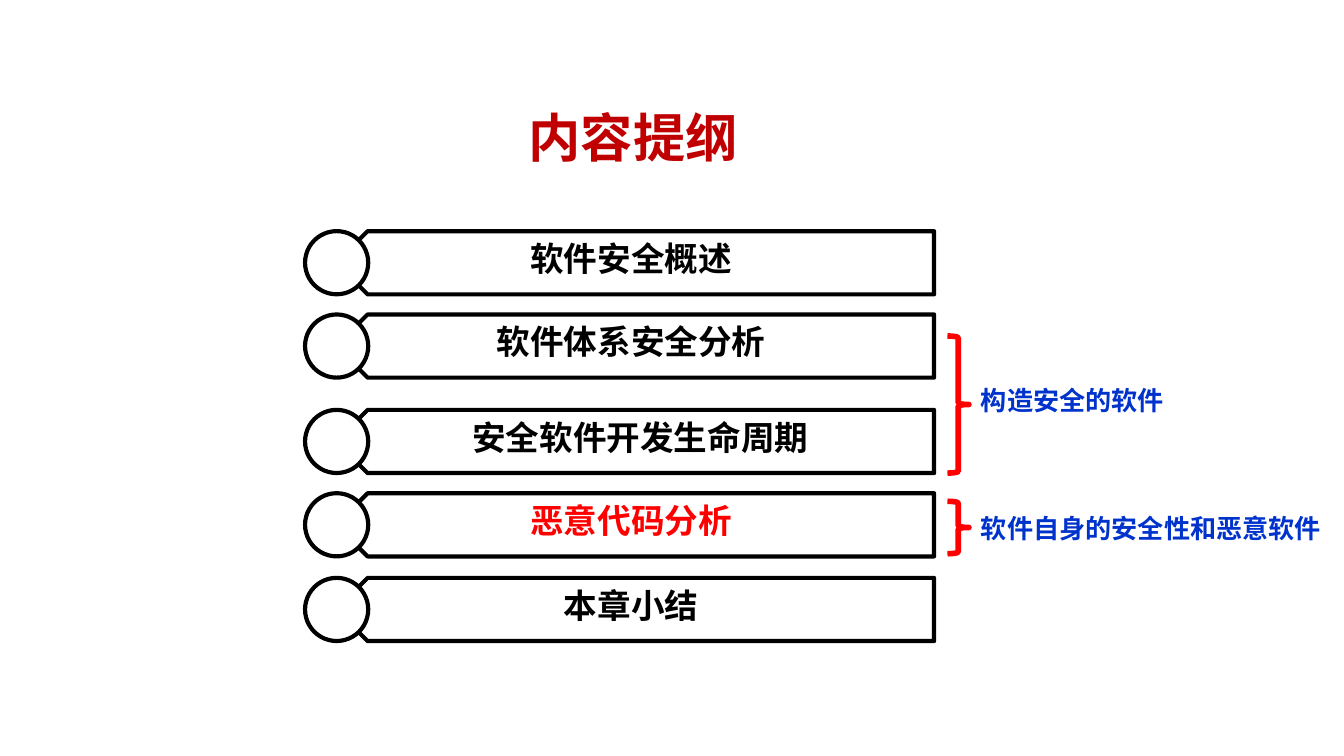
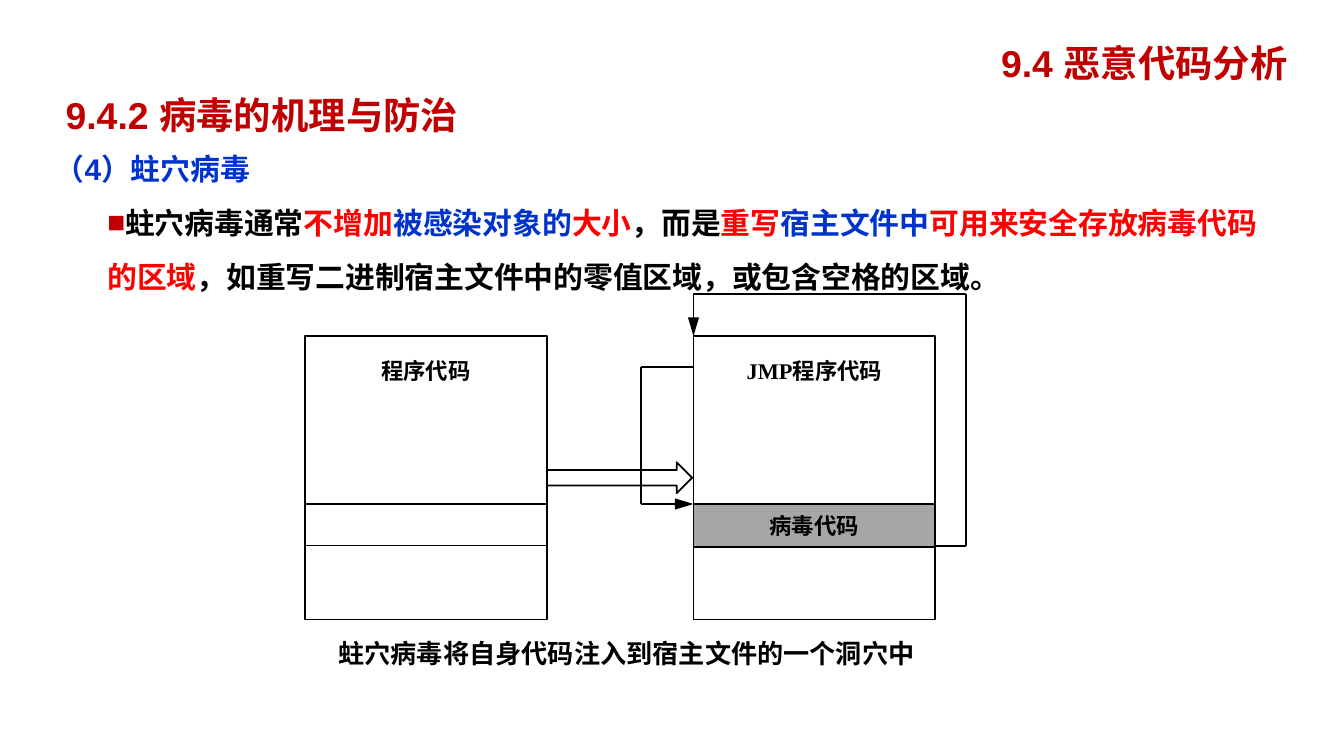
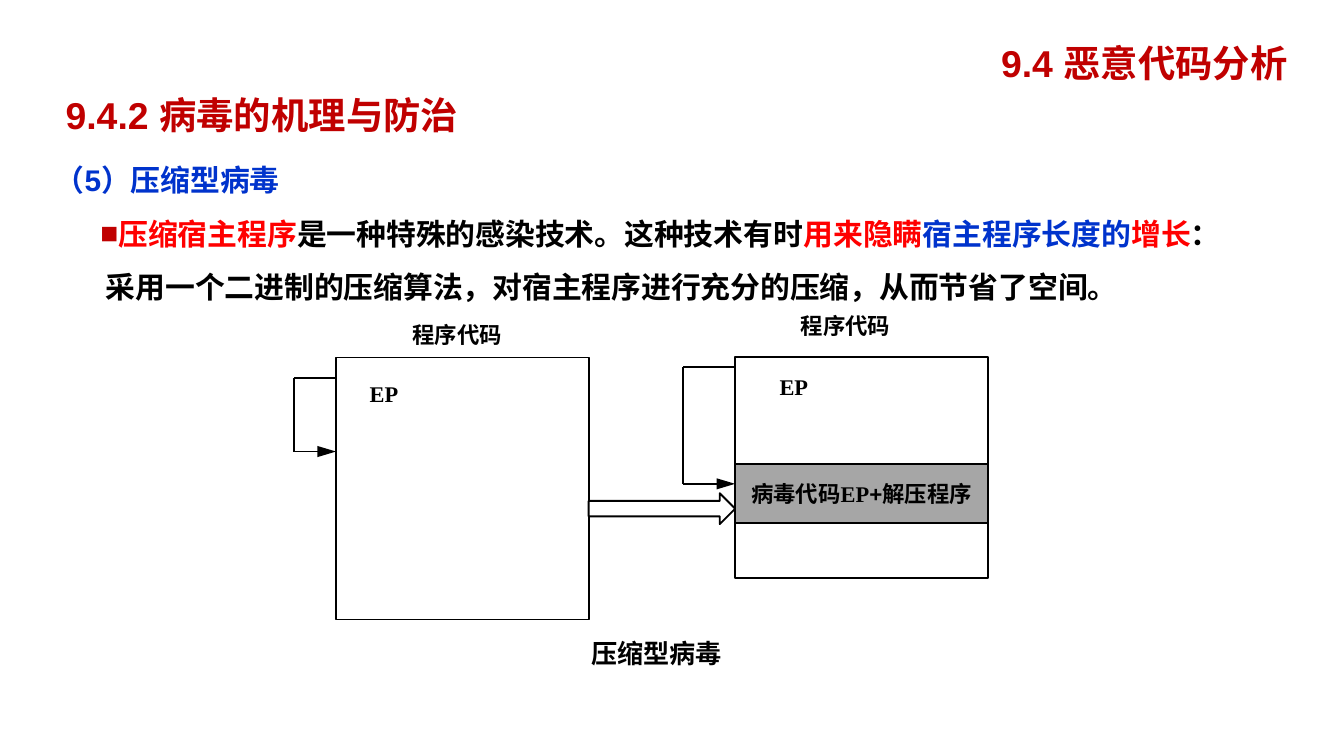
from lxml import etree
from pptx import Presentation
from pptx.dml.color import RGBColor
from pptx.enum.shapes import MSO_CONNECTOR, MSO_SHAPE
from pptx.enum.text import MSO_ANCHOR, PP_ALIGN
from pptx.oxml.ns import qn
from pptx.util import Inches, Pt

LEFT, CENTER = PP_ALIGN.LEFT, PP_ALIGN.CENTER
TOP, MIDDLE = MSO_ANCHOR.TOP, MSO_ANCHOR.MIDDLE
RECT, OVAL = MSO_SHAPE.RECTANGLE, MSO_SHAPE.OVAL
PENTAGON, BRACE = MSO_SHAPE.PENTAGON, MSO_SHAPE.RIGHT_BRACE
BLOCK_ARROW = MSO_SHAPE.RIGHT_ARROW
STRAIGHT = MSO_CONNECTOR.STRAIGHT

COLORS = {
    "title": "C00000",
    "blue": "0033CC",
    "red": "FF0000",
    "black": "000000",
    "white": "FFFFFF",
    "virus": "A6A6A6",
}
SANS, SERIF, CJK = "Arial", "Times New Roman", "Noto Sans CJK SC"


def color(name):
    return RGBColor.from_string(COLORS[name])


def set_font(font, size, ink=None, face=None):
    font.size, font.bold = Pt(size), True
    if ink:
        font.color.rgb = color(ink)
    if face:
        font.name = face


def add_label(slide, text, left, top, width, height, size, ink="black",
              face=SANS, align=LEFT, anchor=TOP, wrap=True):
    box = slide.shapes.add_textbox(
        Inches(left), Inches(top), Inches(width), Inches(height))
    frame = box.text_frame
    frame.word_wrap, frame.vertical_anchor = wrap, anchor
    line = frame.paragraphs[0]
    line.text, line.alignment = text, align
    set_font(line.font, size, ink, face)


def add_box(slide, kind, left, top, width, height, fill="white",
            line="black", weight=1):
    box = slide.shapes.add_shape(
        kind, Inches(left), Inches(top), Inches(width), Inches(height))
    box.shadow.inherit = False
    if fill:
        box.fill.solid()
        box.fill.fore_color.rgb = color(fill)
    else:
        box.fill.background()
    box.line.color.rgb = color(line)
    box.line.width = Pt(weight)
    return box


def write_in_box(box, parts, top_inset=None, left_inset=None):
    """Write (text, face) parts: centred, or set off from the top and left."""
    frame = box.text_frame
    frame.word_wrap = False
    frame.vertical_anchor = MIDDLE
    if top_inset is not None:
        frame.vertical_anchor = TOP
        frame.margin_top = Inches(top_inset)
    line = frame.paragraphs[0]
    line.alignment = CENTER
    if left_inset is not None:
        line.alignment = LEFT
        frame.margin_left = Inches(left_inset)
    set_font(line.font, 12, "black")
    for text, face in parts:
        run = line.add_run()
        run.text = text
        run.font.name = face
        run.font.color.rgb = color("black")


def add_route(slide, points):
    """Draw straight legs through the points, with an arrowhead at the end."""
    for start, end in zip(points, points[1:]):
        leg = slide.shapes.add_connector(
            STRAIGHT, *(Inches(value) for value in start + end))
        leg.line.color.rgb = color("black")
        leg.line.width = Pt(1)
        properties = leg._element.spPr
        if end == points[-1]:
            etree.SubElement(properties.find(qn("a:ln")), qn("a:tailEnd"),
                             type="triangle", len="lg")
        etree.SubElement(properties, qn("a:effectLst"))


def set_indent(paragraph, margin, first_line):
    properties = paragraph._p.get_or_add_pPr()
    properties.set("marL", str(Inches(margin)))
    properties.set("indent", str(Inches(first_line)))
    return properties


def add_bullet(properties):
    tint = etree.SubElement(properties, qn("a:buClr"))
    etree.SubElement(tint, qn("a:srgbClr"), val=COLORS["title"])
    etree.SubElement(properties, qn("a:buFont"), typeface=SANS)
    etree.SubElement(properties, qn("a:buChar"), char="■")


def add_body(slide, topic, parts, top, width, height, margin, first_line):
    box = slide.shapes.add_textbox(
        Inches(0.31), Inches(top), Inches(width), Inches(height))
    frame = box.text_frame
    frame.word_wrap = True
    heading = frame.paragraphs[0]
    heading.text = topic
    set_indent(heading, 0.38, -0.38)
    set_font(heading.font, 16, "blue", SANS)

    detail = frame.add_paragraph()
    add_bullet(set_indent(detail, margin, first_line))
    set_font(detail.font, 16, face=SANS)
    for text, ink in parts:
        run = detail.add_run()
        run.text = text
        run.font.color.rgb = color(ink)
    heading.line_spacing = detail.line_spacing = 1.5


def add_section_titles(slide):
    for text, place in (("9.4 恶意代码分析", (7.19, 0.16, 2.65, 0.61)),
                        ("9.4.2 病毒的机理与防治", (0.23, 0.62, 3.44, 0.47))):
        add_label(slide, text, *place, 20, "title", align=CENTER,
                  anchor=MIDDLE)


def add_outline_row(slide, text, top, ink="black", left=3.52, width=2.35):
    bar = add_box(slide, PENTAGON, 2.5, top, 4.45, 0.47, weight=2.25)
    bar.rotation = 180
    add_box(slide, OVAL, 2.27, top, 0.47, 0.47, weight=2.25)
    add_label(slide, text, left, top, width, 0.4, 18, ink, CJK, CENTER)


def add_brace_note(slide, text, top, height, text_top, text_width):
    add_box(slide, BRACE, 7.05, top, 0.16, height, None, "red", 3)
    add_label(slide, text, 7.2, text_top, text_width, 0.34, 14, "blue",
              wrap=False)


def build_outline(slide):
    add_label(slide, "内容提纲", 1.64, 0.55, 6.14, 0.94, 28, "title",
              align=CENTER, anchor=MIDDLE)
    add_outline_row(slide, "软件安全概述", 1.72)
    add_outline_row(slide, "软件体系安全分析", 2.34)
    add_outline_row(slide, "安全软件开发生命周期", 3.05, left=3.28, width=2.97)
    add_outline_row(slide, "恶意代码分析", 3.67, "red")
    add_outline_row(slide, "本章小结", 4.3)
    add_brace_note(slide, "构造安全的软件", 2.5, 1.02, 2.81, 1.58)
    add_brace_note(slide, "软件自身的安全性和恶意软件", 3.73, 0.39, 3.76, 2.76)


def build_cavity_virus(slide):
    add_body(slide, "（4）蛀穴病毒", [
        ("蛀穴病毒通常", "black"), ("不增加", "red"),
        ("被感染对象的", "blue"), ("大小", "red"), ("，而是", "black"),
        ("重写", "red"), ("宿主文件中", "blue"),
        ("可用来安全存放病毒代码的区域", "red"),
        ("，如重写二进制宿主文件中的零值区域，或包含空格的区域。", "black"),
    ], 0.94, 9.3, 1.25, 0.39, 0)
    add_section_titles(slide)

    # Infected file
    infected = add_box(slide, RECT, 5.16, 2.5, 1.8, 2.11)
    write_in_box(infected, [("JMP", SERIF), ("程序代码", SANS)], 0.16)
    virus = add_box(slide, RECT, 5.16, 3.75, 1.8, 0.32, "virus")
    write_in_box(virus, [("病毒代码", SANS)])
    add_box(slide, BLOCK_ARROW, 4.06, 3.44, 1.09, 0.23)

    # Jumps into the virus and back to the program
    add_route(slide, [(6.95, 4.06), (7.19, 4.06), (7.19, 2.19),
                      (5.16, 2.19), (5.16, 2.5)])
    add_route(slide, [(5.16, 2.73), (4.77, 2.73), (4.77, 3.75), (5.16, 3.75)])

    # Host file with its cavity
    host = add_box(slide, RECT, 2.27, 2.5, 1.8, 2.11)
    write_in_box(host, [("程序代码", SANS)], 0.16)
    add_box(slide, RECT, 2.27, 3.75, 1.8, 0.31)
    add_label(slide, "蛀穴病毒将自身代码注入到宿主文件的一个洞穴中",
              2.42, 4.69, 4.61, 0.34, 14)


def build_compression_virus(slide):
    add_body(slide, "（5）压缩型病毒", [
        ("压缩宿主程序", "red"),
        ("是一种特殊的感染技术。这种技术有时", "black"),
        ("用来隐瞒", "red"), ("宿主程序长度的", "blue"), ("增长", "red"),
        ("：采用一个二进制的压缩算法，对宿主程序进行充分的压缩，从而节省了空间。",
         "black"),
    ], 1.02, 9.06, 1.33, 0.38, -0.04)
    add_section_titles(slide)

    # Host program
    host = add_box(slide, RECT, 2.5, 2.66, 1.88, 1.95)
    write_in_box(host, [("EP", SERIF)], 0.17, 0.25)
    add_label(slide, "程序代码", 2.97, 2.34, 1.02, 0.3, 12)
    add_route(slide, [(2.5, 2.81), (2.19, 2.81), (2.19, 3.36), (2.5, 3.36)])
    add_box(slide, BLOCK_ARROW, 4.38, 3.67, 1.09, 0.23)

    # Compressed program with the virus
    packed = add_box(slide, RECT, 5.47, 2.66, 1.88, 1.64)
    write_in_box(packed, [("EP", SERIF)], 0.12, 0.33)
    virus = add_box(slide, RECT, 5.47, 3.45, 1.88, 0.44, "virus")
    write_in_box(virus, [("病毒代码", SANS), ("EP", SERIF), ("+解压程序", SANS)])
    add_label(slide, "程序代码", 5.86, 2.27, 1.02, 0.3, 12)
    add_route(slide, [(5.47, 2.73), (5.08, 2.73), (5.08, 3.6), (5.47, 3.6)])
    add_label(slide, "压缩型病毒", 4.3, 4.69, 1.48, 0.34, 14)


def main():
    deck = Presentation()
    # Widescreen, 16:9
    deck.slide_width = Inches(10)
    deck.slide_height = deck.slide_width * 9 // 16
    blank = deck.slide_layouts[6]
    for build in (build_outline, build_cavity_virus, build_compression_virus):
        build(deck.slides.add_slide(blank))
    deck.save("out.pptx")


if __name__ == "__main__":
    main()
